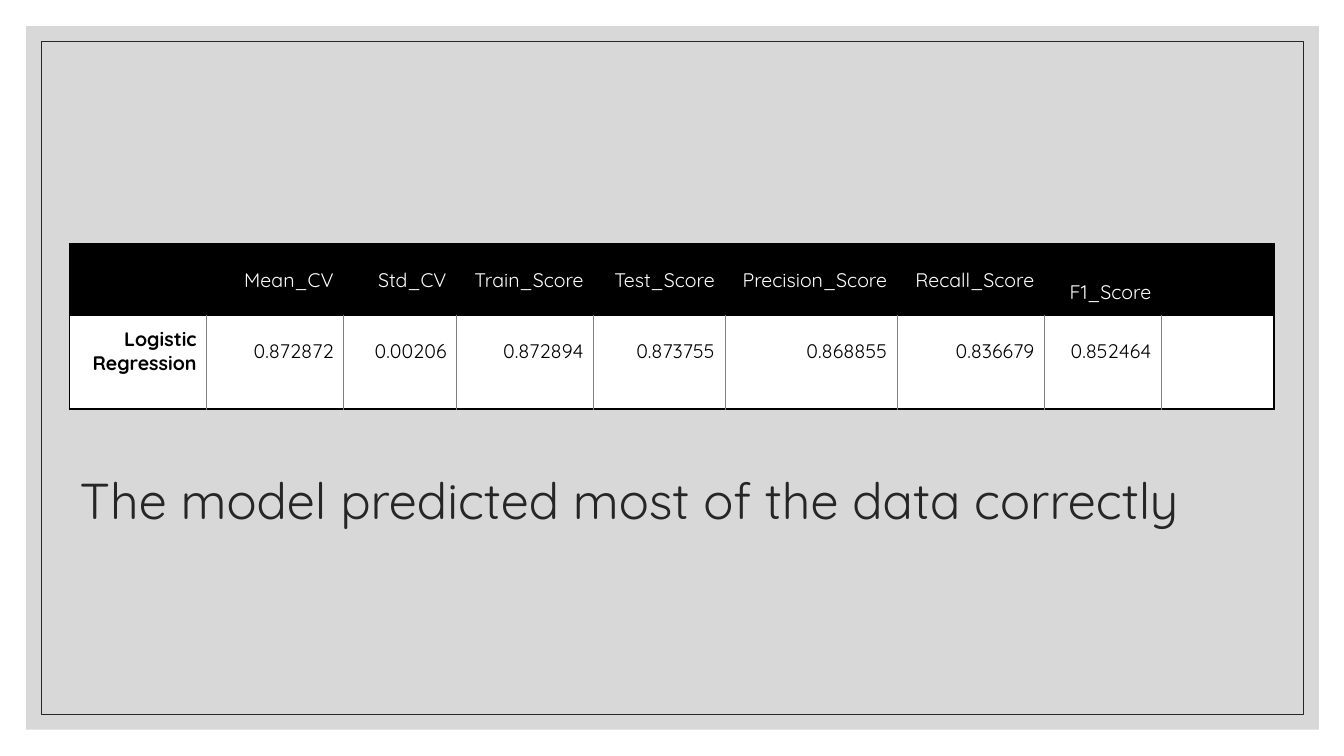
from lxml.etree import SubElement
from pptx import Presentation
from pptx.dml.color import RGBColor
from pptx.enum.shapes import MSO_SHAPE
from pptx.enum.text import MSO_ANCHOR, PP_ALIGN
from pptx.oxml.ns import qn
from pptx.util import Inches, Pt

FONT = "Quicksand"
BLACK = RGBColor(0x00, 0x00, 0x00)
WHITE = RGBColor(0xFF, 0xFF, 0xFF)
PANEL_GRAY = RGBColor(0xBF, 0xBF, 0xBF)
RULE_GRAY = RGBColor(0x80, 0x80, 0x80)
INK = RGBColor(0x26, 0x26, 0x26)

HEADERS = ["", "Mean_CV", "Std_CV", "Train_Score", "Test_Score",
           "Precision_Score", "Recall_Score", "F1_Score", ""]
SCORES = ["Logistic Regression", "0.872872", "0.00206", "0.872894", "0.873755",
          "0.868855", "0.836679", "0.852464", ""]
COLUMN_WIDTHS = [1.36, 1.36, 1.12, 1.36, 1.3, 1.71, 1.46, 1.16, 1.12]
ROW_HEIGHTS = [0.71, 0.93]


def add_rectangle(slide, left, top, width, height):
    box = slide.shapes.add_shape(MSO_SHAPE.RECTANGLE, Inches(left), Inches(top),
                                 Inches(width), Inches(height))
    box.shadow.inherit = False
    return box


def add_background_frame(slide):
    """Draw the translucent panel and the thin outline inside it."""
    panel = add_rectangle(slide, 0.26, 0.26, 12.82, 6.98)
    panel.fill.solid()
    panel.fill.fore_color.rgb = PANEL_GRAY
    color = panel.element.spPr.find(qn("a:solidFill")).find(qn("a:srgbClr"))
    SubElement(color, qn("a:alpha"), val="60000")
    panel.line.fill.background()

    outline = add_rectangle(slide, 0.41, 0.41, 12.52, 6.68)
    outline.fill.background()
    outline.line.color.rgb = INK
    outline.line.width = Pt(0.5)


def format_text(para, size, color, bold=False):
    for span in para.runs:
        span.font.name = FONT
        span.font.size = Pt(size)
        span.font.color.rgb = color
        span.font.bold = bold


def place_title(slide, text):
    title = slide.shapes.title
    title.element.getparent().append(title.element)  # in front of the panel
    title.left, title.top = Inches(0.69), Inches(4.24)
    title.width, title.height = Inches(12.65), Inches(1.5)
    frame = title.text_frame
    frame.text = text
    frame.word_wrap = True
    frame.vertical_anchor = MSO_ANCHOR.MIDDLE
    para = frame.paragraphs[0]
    para.alignment = PP_ALIGN.LEFT
    para.line_spacing = 0.9
    format_text(para, 36, INK)


def set_borders(cell, **borders):
    """Set the borders L, R, T and B, in that order, each as (colour, points)."""
    properties = cell._tc.get_or_add_tcPr()
    for side, (color, width) in borders.items():
        line = SubElement(properties, qn(f"a:ln{side}"), w=str(Pt(width)))
        fill = SubElement(line, qn("a:solidFill"))
        SubElement(fill, qn("a:srgbClr"), val=str(color))


def fill_cell(cell, text, background, color, bold=False):
    cell.fill.solid()
    cell.fill.fore_color.rgb = background
    cell.vertical_anchor = MSO_ANCHOR.MIDDLE
    cell.margin_left = Inches(0.13)
    cell.margin_right = cell.margin_top = cell.margin_bottom = Inches(0.1)
    cell.text = text
    para = cell.text_frame.paragraphs[0]
    para.alignment = PP_ALIGN.RIGHT
    format_text(para, 14, color, bold)


def add_score_table(slide):
    table = slide.shapes.add_table(
        len(ROW_HEIGHTS), len(COLUMN_WIDTHS), Inches(0.69), Inches(2.42),
        Inches(sum(COLUMN_WIDTHS)), Inches(sum(ROW_HEIGHTS))).table
    table.horz_banding = False
    for column, width in zip(table.columns, COLUMN_WIDTHS):
        column.width = Inches(width)
    for row, height in zip(table.rows, ROW_HEIGHTS):
        row.height = Inches(height)

    edge, rule = (BLACK, 1.5), (RULE_GRAY, 0.5)
    last = len(HEADERS) - 1
    for index, (header, score) in enumerate(zip(HEADERS, SCORES)):
        header_cell, score_cell = table.cell(0, index), table.cell(1, index)
        set_borders(header_cell, L=edge, R=edge, T=edge, B=edge)
        fill_cell(header_cell, header, BLACK, WHITE)
        set_borders(score_cell, L=rule if index else edge,
                    R=rule if index < last else edge, T=edge, B=edge)
        fill_cell(score_cell, score, WHITE, BLACK, bold=index == 0)
        score_cell.margin_bottom = Inches(0.32)
    table.cell(0, HEADERS.index("F1_Score")).margin_top = Inches(0.35)


def main():
    deck = Presentation()
    deck.slide_width, deck.slide_height = Inches(13.33), Inches(7.5)
    slide = deck.slides.add_slide(deck.slide_layouts[5])
    add_background_frame(slide)
    place_title(slide, "The model predicted most of the data correctly")
    add_score_table(slide)
    deck.save("out.pptx")


if __name__ == "__main__":
    main()
